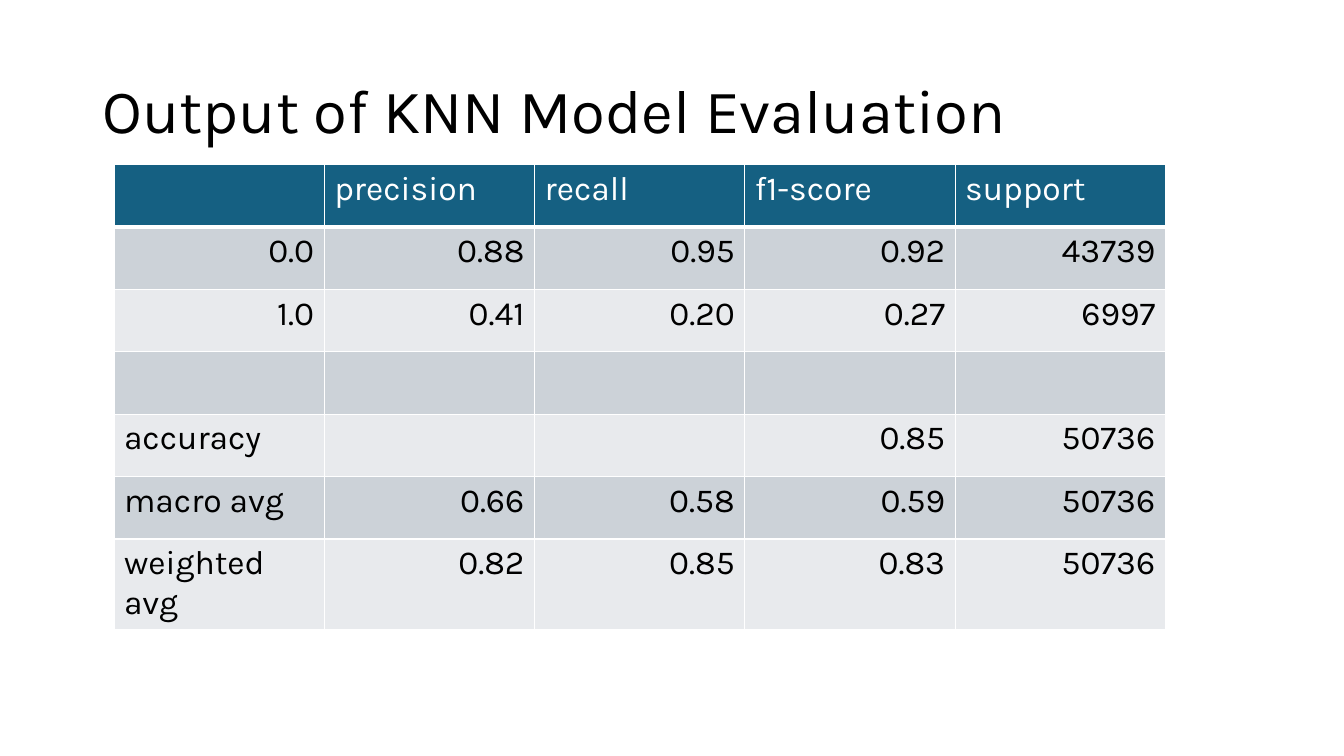
from lxml import etree
from pptx import Presentation
from pptx.dml import color
from pptx.enum import text
from pptx.oxml import ns
from pptx.util import Inches, Pt

FONT = "Karla"
WHITE, BLACK, TEAL = "FFFFFF", "000000", "156082"
BANDS = ["CCD2D8", "E8EAED"]

SCORES = [
    ["", "precision", "recall", "f1-score", "support"],
    ["0.0", "0.88", "0.95", "0.92", "43739"],
    ["1.0", "0.41", "0.20", "0.27", "6997"],
    ["", "", "", "", ""],
    ["accuracy", "", "", "0.85", "50736"],
    ["macro avg", "0.66", "0.58", "0.59", "50736"],
    ["weighted avg", "0.82", "0.85", "0.83", "50736"],
]


def rgb(value):
    return color.RGBColor.from_string(value)


def write(paragraph, words, size, hex_color):
    run = paragraph.add_run()
    run.text = words
    for name, value in {"name": FONT, "size": Pt(size), "bold": False}.items():
        setattr(run.font, name, value)
    run.font.color.rgb = rgb(hex_color)


def add_title(slide, box, words):
    frame = slide.shapes.add_textbox(*map(Inches, box)).text_frame
    frame.word_wrap = True
    frame.vertical_anchor = text.MSO_ANCHOR.MIDDLE
    paragraph = frame.paragraphs[0]
    paragraph.line_spacing = 0.9
    write(paragraph, words, 44, BLACK)


def set_borders(cell, widths):
    properties = cell._tc.get_or_add_tcPr()
    for side, width in widths.items():
        line = etree.SubElement(properties, ns.qn(f"a:ln{side}"), w=str(Pt(width)))
        fill = etree.SubElement(line, ns.qn("a:solidFill"))
        etree.SubElement(fill, ns.qn("a:srgbClr"), val=WHITE)


def add_score_table(slide, box, rows, row_height):
    left, top, width, height = map(Inches, box)
    columns = len(rows[0])
    table = slide.shapes.add_table(len(rows), columns, left, top, width, height).table
    for column in table.columns:
        column.width = width // columns
    for row_index, values in enumerate(rows):
        table.rows[row_index].height = Inches(row_height)
        header = row_index == 0
        for column_index, value in enumerate(values):
            cell = table.cell(row_index, column_index)
            # A thicker rule divides the header from the body
            set_borders(cell, {"L": 1, "R": 1,
                               "T": 3 if row_index == 1 else 1,
                               "B": 3 if header else 1})
            cell.fill.solid()
            cell.fill.fore_color.rgb = rgb(TEAL if header else BANDS[(row_index - 1) % 2])
            if not value:
                continue
            # Numbers align right, labels left
            paragraph = cell.text_frame.paragraphs[0]
            if value[0].isdigit():
                paragraph.alignment = text.PP_ALIGN.RIGHT
            write(paragraph, value, 24, WHITE if header else BLACK)


def main():
    presentation = Presentation()
    presentation.slide_width, presentation.slide_height = Inches(13.33), Inches(7.5)
    slide = presentation.slides.add_slide(presentation.slide_layouts[6])
    add_title(slide, (0.92, 0.4, 11.5, 1.45), "Output of KNN Model Evaluation")
    add_score_table(slide, (1.13, 1.63, 10.43, 4.33), SCORES, 0.62)
    presentation.save("out.pptx")


if __name__ == "__main__":
    main()
